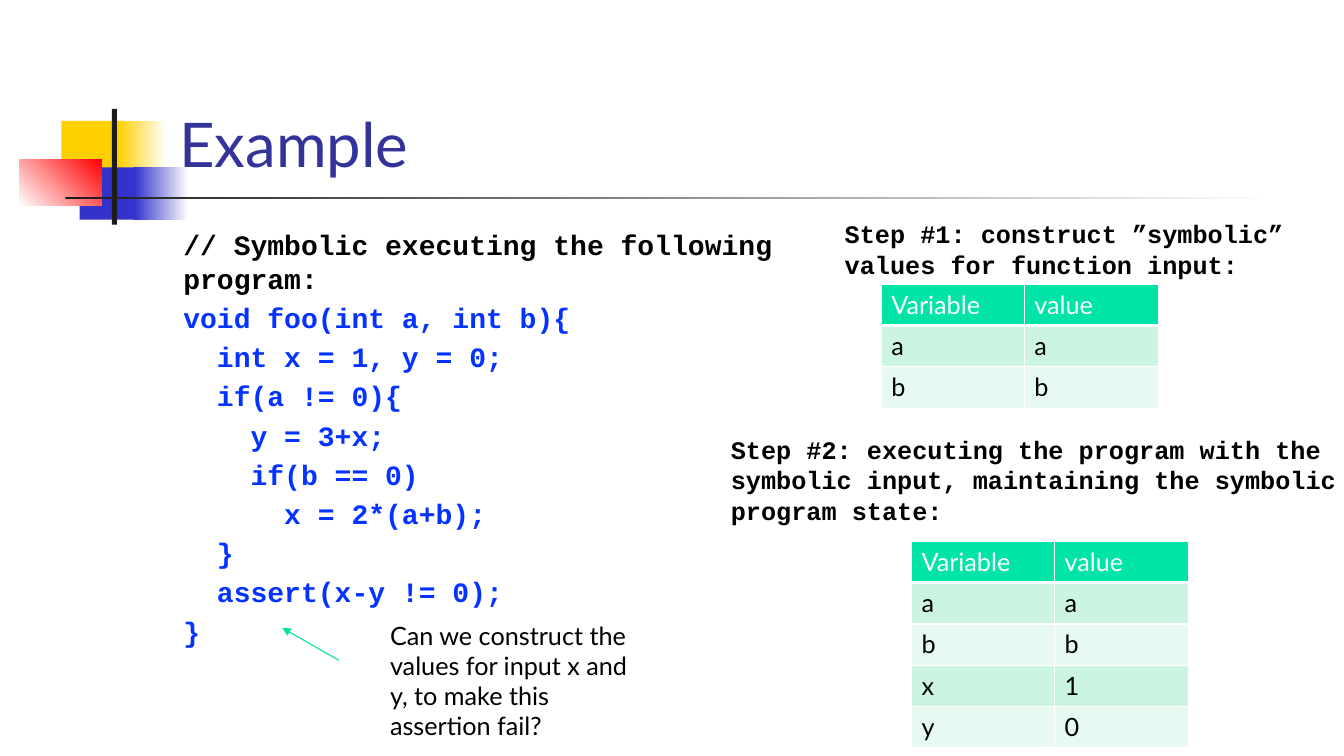
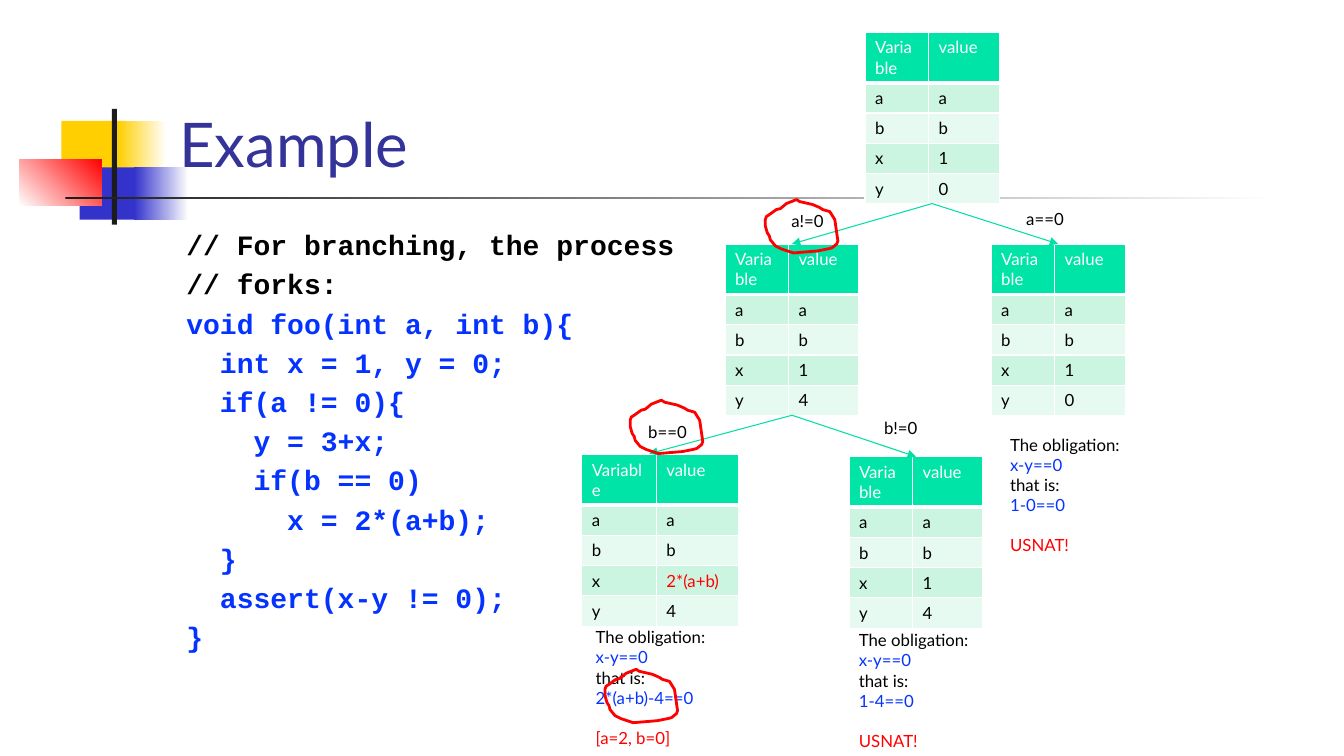
"""Build two slides that explain symbolic execution with state tables and a branching tree."""
from lxml.etree import SubElement
from pptx import Presentation
from pptx.dml.color import RGBColor
from pptx.enum.shapes import MSO_CONNECTOR, MSO_SHAPE
from pptx.enum.text import MSO_ANCHOR
from pptx.oxml.ns import qn
from pptx.util import Pt

PX = 9144
STRAIGHT = MSO_CONNECTOR.STRAIGHT
RECTANGLE = MSO_SHAPE.RECTANGLE
TOP, BOTTOM = MSO_ANCHOR.TOP, MSO_ANCHOR.BOTTOM
TOP_SIDE, BOTTOM_SIDE = 0, 2
color = RGBColor.from_string

SANS, MONO = "Lato", "Courier New"
BLACK, WHITE, RED, BLUE = "000000", "FFFFFF", "FF0000", "0432FF"
TITLE_BLUE, YELLOW, SQUARE_BLUE, DARK = "333399", "FFCF01", "3333CC", "1C1C1C"
HEADER_GREEN, BAND_DARK, BAND_LIGHT, ARROW_GREEN = "00E4A8", "CCF5E1", "E7FAF1", "00DFA4"

DECORATION = [
    ((61, 120, 64, 52), [YELLOW], 0),
    ((117, 120, 48, 52), [YELLOW, WHITE], 0),
    ((79, 166, 62, 52), [SQUARE_BLUE], 0),
    ((133, 166, 54, 52), [SQUARE_BLUE, WHITE], 0),
    ((19, 158, 82, 46), [WHITE, RED], 45),
    ((111, 108, 5, 115), [DARK], 0),
    ((65, 195, 1200, 3), [DARK, WHITE], 0),
]
PROGRAM = [
    "void foo(int a, int b){",
    "  int x = 1, y = 0;",
    "  if(a != 0){",
    "    y = 3+x;",
    "    if(b == 0)",
    "      x = 2*(a+b);",
    "  }",
    "  assert(x-y != 0);",
    "}",
]
RING = [
    (31, 0), (21, 4), (15, 9), (11, 10), (4, 15), (1, 17), (0, 20), (0, 26), (2, 33),
    (4, 36), (5, 40), (10, 46), (16, 49), (28, 53), (52, 51), (62, 49), (66, 48),
    (71, 44), (72, 41), (71, 34), (69, 20), (64, 12), (57, 10), (54, 8), (47, 5), (34, 2),
]


def add_text(slide, box, lines, size, font=SANS, gap=0, anchor=TOP):
    frame = slide.shapes.add_textbox(*(n * PX for n in box)).text_frame
    frame.word_wrap = True
    frame.vertical_anchor = anchor
    for index, (text, ink) in enumerate(lines):
        paragraph = frame.paragraphs[0] if index == 0 else frame.add_paragraph()
        paragraph.text = text
        paragraph.font.name = font
        paragraph.font.size = Pt(size)
        paragraph.font.bold = font == MONO
        paragraph.font.color.rgb = color(ink)
        if index and gap:
            paragraph.space_before = Pt(gap)


def add_state(slide, left, top, values, widths, heights, size):
    rows = [("Variable", "value"), *values.items()]
    header_height, row_height = heights
    total_height = header_height + row_height * len(values)
    frame = slide.shapes.add_table(
        len(rows), 2, left * PX, top * PX, sum(widths) * PX, total_height * PX)
    for column, width in zip(frame.table.columns, widths):
        column.width = width * PX
    for r, row in enumerate(rows):
        frame.table.rows[r].height = (row_height if r else header_height) * PX
        fill = (BAND_LIGHT, BAND_DARK)[r % 2] if r else HEADER_GREEN
        for c, text in enumerate(row):
            cell = frame.table.cell(r, c)
            properties = cell._tc.get_or_add_tcPr()
            for side in ("lnL", "lnR", "lnT", "lnB"):
                weight = 3 if r == 0 and side == "lnB" else 1
                border = SubElement(properties, qn(f"a:{side}"), w=str(Pt(weight)))
                SubElement(SubElement(border, qn("a:solidFill")), qn("a:srgbClr"), val=WHITE)
            cell.fill.solid()
            cell.fill.fore_color.rgb = color(fill)
            paragraph = cell.text_frame.paragraphs[0]
            paragraph.text = text
            paragraph.font.name = SANS
            paragraph.font.size = Pt(size)
            paragraph.font.bold = False
            ink = RED if text == "2*(a+b)" else BLACK
            paragraph.font.color.rgb = color(ink if r else WHITE)
    return frame


prs = Presentation()
prs.slide_width, prs.slide_height = 1333 * PX, 750 * PX
pages = [
    ((172, 221, 656, 450), ["// Symbolic executing the following program:"]),
    ((175, 221, 850, 450), ["// For branching, the process", "// forks:"]),
]
for code_box, remarks in pages:
    slide = prs.slides.add_slide(prs.slide_layouts[6])
    for box, inks, angle in DECORATION:
        block = slide.shapes.add_shape(RECTANGLE, *(n * PX for n in box))
        block.shadow.inherit = False
        block.line.fill.background()
        if len(inks) == 1:
            block.fill.solid()
            block.fill.fore_color.rgb = color(inks[0])
        else:
            block.fill.gradient()
            block.fill.gradient_angle = angle
            for stop, ink in zip(block.fill.gradient_stops, inks):
                stop.color.rgb = color(ink)
    add_text(slide, (168, 23, 1136, 160), [("Example", TITLE_BLUE)], 44, anchor=BOTTOM)
    code = [(line, BLACK) for line in remarks] + [(line, BLUE) for line in PROGRAM]
    add_text(slide, code_box, code, 20, MONO, gap=4)

steps, tree = prs.slides

question = "Can we construct the values for input x and y, to make this assertion fail?"
add_text(steps, (377, 610, 278, 131), [(question, BLACK)], 18)
step_one = "Step #1: construct ”symbolic” values for function input:"
add_text(steps, (828, 212, 476, 101), [(step_one, BLACK)], 18, MONO)
step_two = [
    "Step #2: executing the program with the",
    "symbolic input, maintaining the symbolic",
    "program state:",
]
add_text(steps, (715, 426, 653, 131), [(line, BLACK) for line in step_two], 18, MONO)
inputs = {"a": "a", "b": "b"}
start = {**inputs, "x": "1", "y": "0"}
for left, top, values in [(874, 282, inputs), (904, 537, start)]:
    add_state(steps, left, top, values, (142, 133), (41, 41), 18)

after_branch = {**start, "y": "4"}
narrow, wide = (63, 70), (74, 82)
root, a_nonzero, a_zero, b_zero, b_nonzero = [
    add_state(tree, left, top, values, widths, (50, 30), 12)
    for left, top, values, widths in [
        (858, 32, start, narrow),
        (719, 242, after_branch, narrow),
        (983, 242, start, narrow),
        (577, 451, {**after_branch, "x": "2*(a+b)"}, wide),
        (842, 453, after_branch, narrow),
    ]
]

arrows = [
    (steps, (336, 655), (280, 623), None, None),
    (tree, (925, 202), (785, 242), root, a_nonzero),
    (tree, (925, 202), (1050, 242), root, a_zero),
    (tree, (783, 410), (644, 450), a_nonzero, None),
    (tree, (783, 410), (908, 450), a_nonzero, b_nonzero),
]
for slide, tail, tip, parent, child in arrows:
    arrow = slide.shapes.add_connector(STRAIGHT, *(n * PX for n in tail + tip))
    if parent:
        arrow.begin_connect(parent, BOTTOM_SIDE)
    if child:
        arrow.end_connect(child, TOP_SIDE)
    arrow.line.color.rgb = color(ARROW_GREEN)
    arrow.line.width = Pt(0.75)
    properties = arrow._element.spPr
    SubElement(properties.find(qn("a:ln")), qn("a:tailEnd"), type="triangle")
    SubElement(properties, qn("a:effectLst"))

conditions = [
    (1008, 202, "a==0"), (775, 204, "a!=0"), (867, 410, "b!=0"), (633, 413, "b==0"),
]
for left, top, condition in conditions:
    add_text(tree, (left, top, 125, 30), [(condition, BLACK)], 12)

obligations = [
    (992, 426, "1-0==0", "USNAT!"),
    (842, 620, "1-4==0", "USNAT!"),
    (581, 617, "2*(a+b)-4==0", "[a=2, b=0]"),
]
for left, top, formula, verdict in obligations:
    reasoning = [
        ("The obligation:", BLACK), ("x-y==0", BLUE), ("that is:", BLACK), (formula, BLUE),
    ]
    add_text(tree, (left, top, 152, 91), reasoning, 12)
    add_text(tree, (left, top + 100, 152, 30), [(verdict, RED)], 12)

for left, top in [(759, 198), (625, 397), (600, 664)]:
    outline = tree.shapes.build_freeform(*RING[0], scale=PX)
    outline.add_line_segments(RING[1:], close=True)
    ring = outline.convert_to_shape(left * PX, top * PX)
    ring.shadow.inherit = False
    ring.fill.background()
    ring.line.color.rgb = color(RED)
    ring.line.width = Pt(2)

prs.save("out.pptx")
